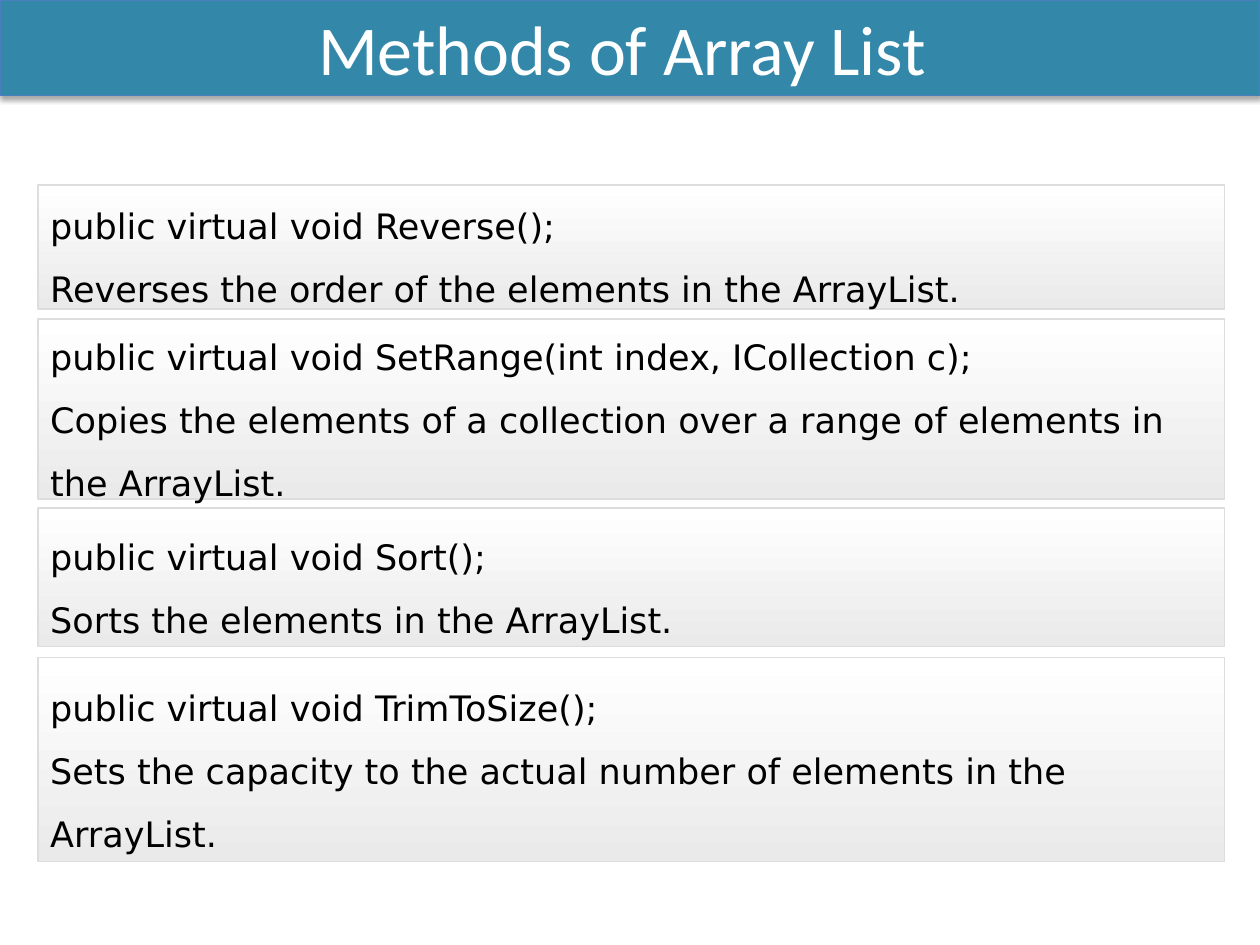
from lxml import etree
from pptx import Presentation
from pptx.dml.color import RGBColor
from pptx.enum.shapes import MSO_SHAPE
from pptx.enum.text import MSO_ANCHOR, PP_ALIGN
from pptx.oxml.ns import qn
from pptx.util import Pt

RECTANGLE = MSO_SHAPE.RECTANGLE
MIDDLE = MSO_ANCHOR.MIDDLE
LEFT, CENTER = PP_ALIGN.LEFT, PP_ALIGN.CENTER

COLORS = {
    "banner": "3388A9",
    "banner_edge": "4B7EBC",
    "banner_text": "FFFFFF",
    "shadow": "000000",
    "panel_top": "FFFFFF",
    "panel_bottom": "EAEAEA",
    "panel_edge": "DDDDDD",
    "panel_text": "000000",
}


def rgb(name):
    return RGBColor.from_string(COLORS[name])


def write_text(shape, text, font, size, color, align=LEFT, spacing=1.0):
    frame = shape.text_frame
    frame.word_wrap = True
    frame.vertical_anchor = MIDDLE
    paragraph = frame.paragraphs[0]
    paragraph.text = text
    paragraph.alignment = align
    paragraph.line_spacing = spacing
    for run in paragraph.runs:
        run.font.name = font
        run.font.size = Pt(size)
        run.font.color.rgb = rgb(color)


prs = Presentation()
prs.slide_width = Pt(720)
prs.slide_height = Pt(540)
slide = prs.slides.add_slide(prs.slide_layouts[6])

banner = slide.shapes.add_shape(RECTANGLE, 0, 0, Pt(720), Pt(54.7))
banner.fill.solid()
banner.fill.fore_color.rgb = rgb("banner")
banner.line.color.rgb = rgb("banner_edge")
banner.line.width = Pt(0.75)
banner.shadow.inherit = False
effects = banner._element.spPr.find(qn("a:effectLst"))
shadow = etree.SubElement(
    effects, qn("a:outerShdw"), blurRad=str(Pt(3.1)), dist=str(Pt(1.8)),
    dir="5400000", algn="t", rotWithShape="0")
shadow_color = etree.SubElement(shadow, qn("a:srgbClr"), val=COLORS["shadow"])
etree.SubElement(shadow_color, qn("a:alpha"), val="35000")
write_text(banner, "Methods of Array List ", font="Calibri", size=40,
           color="banner_text", align=CENTER)

methods = [
    (105.8, 70.6, "public virtual void Reverse();",
     "Reverses the order of the elements in the ArrayList."),
    (182.2, 103, "public virtual void SetRange(int index, ICollection c);",
     "Copies the elements of a collection over a range of elements in the ArrayList."),
    (290.2, 79.2, "public virtual void Sort();",
     "Sorts the elements in the ArrayList."),
    (375.8, 116.6, "public virtual void TrimToSize();",
     "Sets the capacity to the actual number of elements in the ArrayList."),
]

for top, height, signature, summary in methods:
    panel = slide.shapes.add_shape(RECTANGLE, Pt(21.6), Pt(top), Pt(678.2), Pt(height))
    panel.shadow.inherit = False
    panel.fill.gradient()
    panel.fill.gradient_angle = 270
    for stop, position, shade in zip(panel.fill.gradient_stops, (0, 1),
                                     ("panel_top", "panel_bottom")):
        stop.position = position
        stop.color.rgb = rgb(shade)
    panel.line.color.rgb = rgb("panel_edge")
    panel.line.width = Pt(1)
    write_text(panel, f"{signature}\v{summary}", font="DejaVu Sans", size=20,
               color="panel_text", spacing=1.5)

prs.save("out.pptx")
